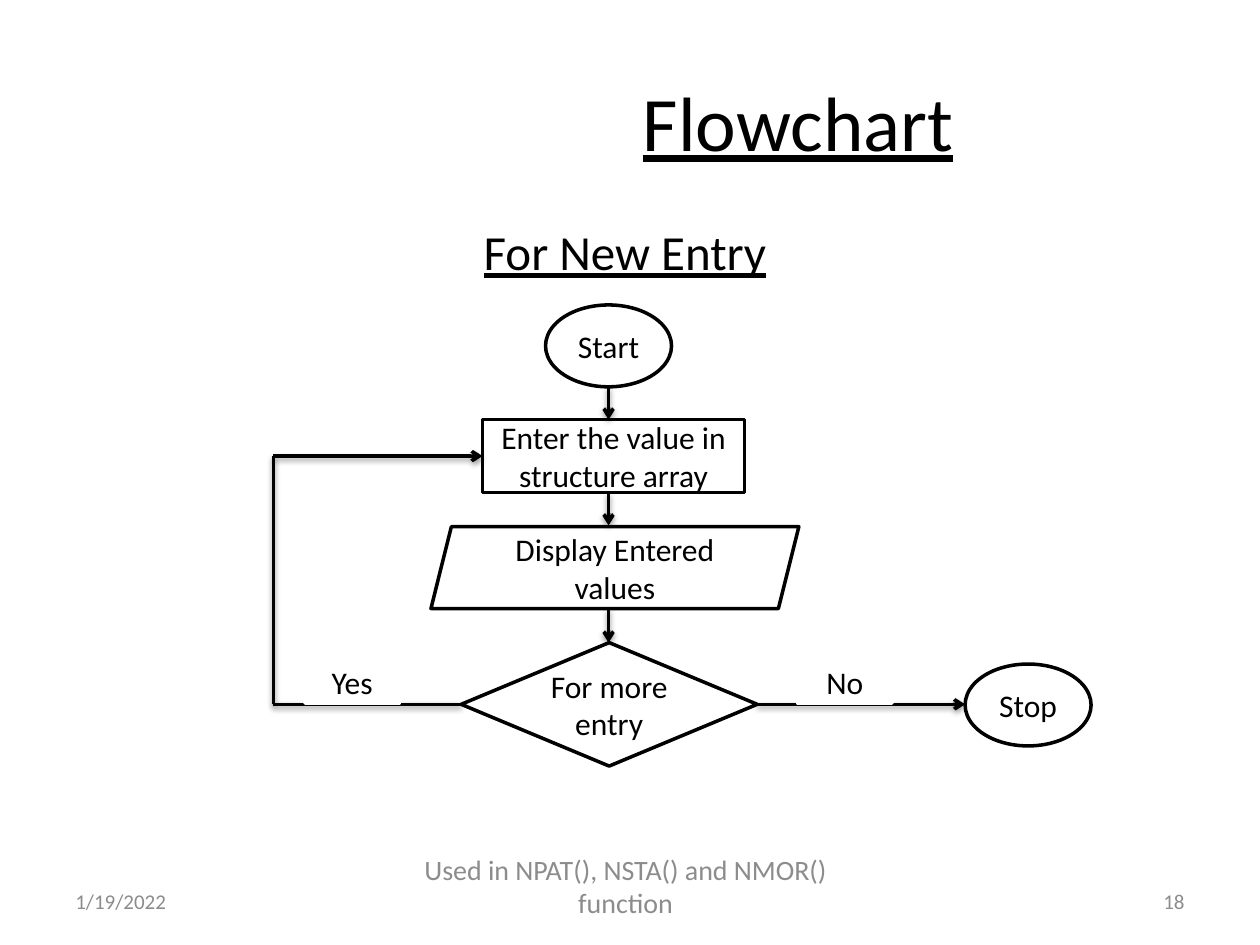
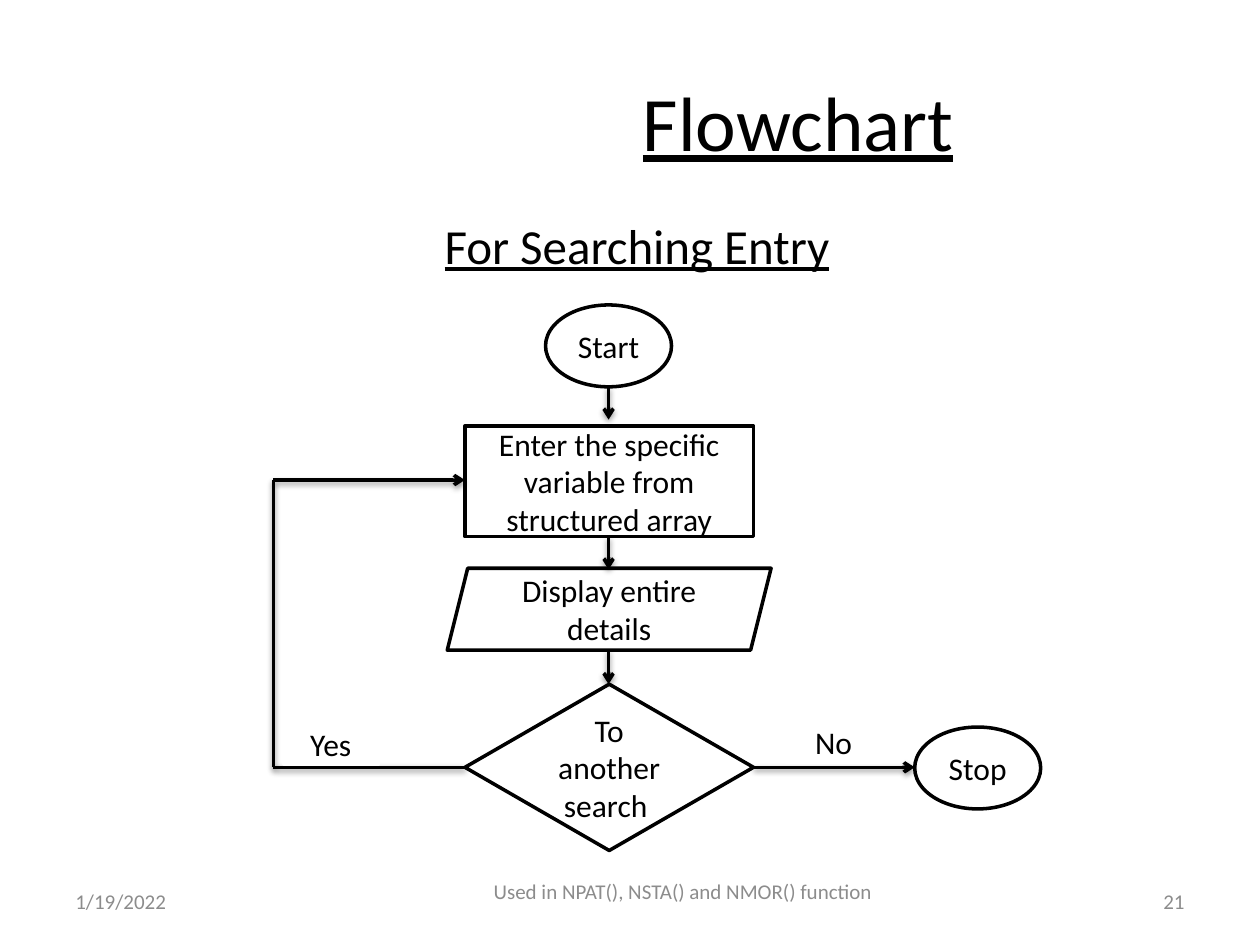
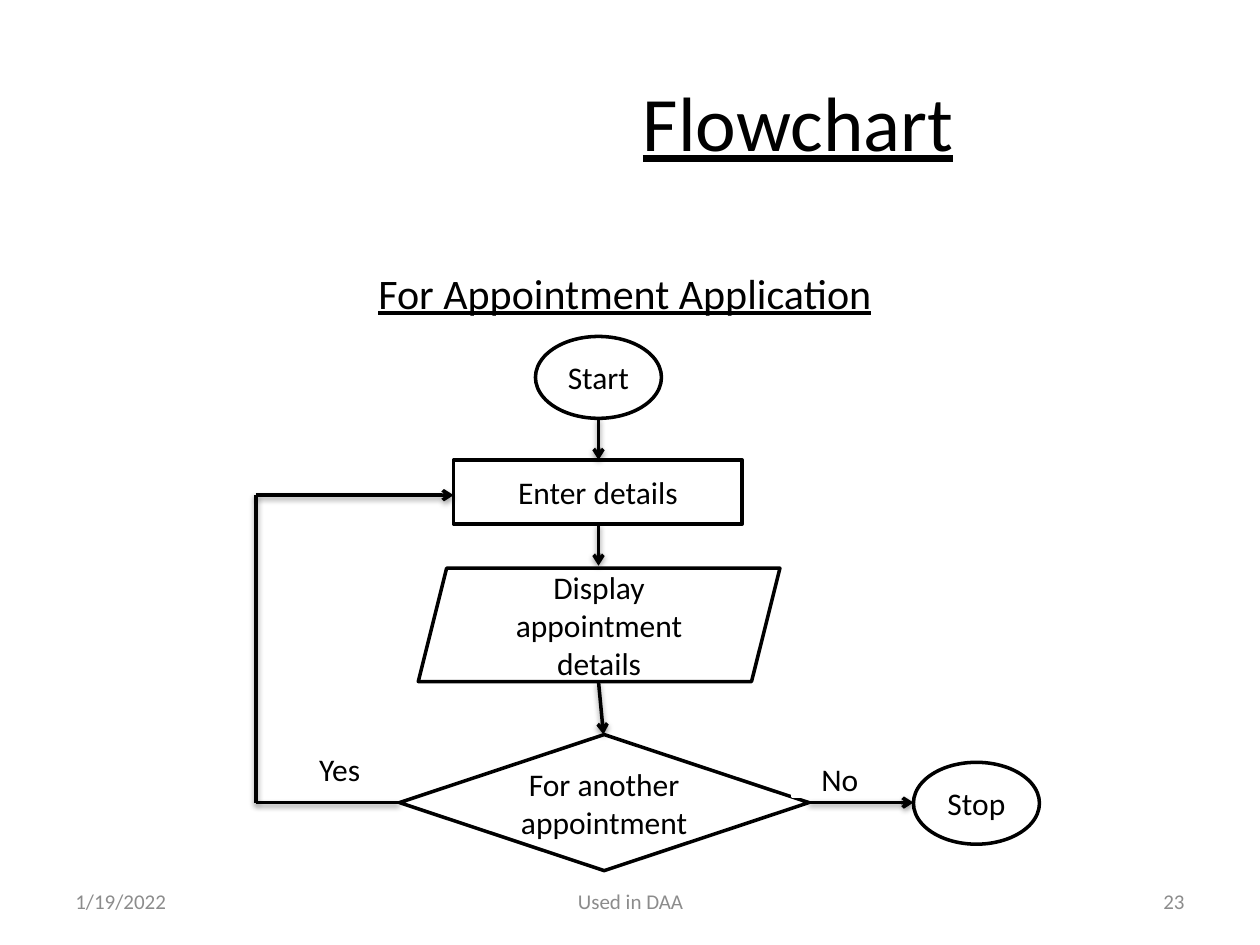
from dataclasses import dataclass

from lxml import etree
from pptx import Presentation
from pptx import util as u
from pptx.dml.color import RGBColor
from pptx.enum import shapes, text
from pptx.oxml import parse_xml
from pptx.oxml.ns import nsdecls, qn

PX = 9144  # 100 px to the inch
KIND = shapes.MSO_SHAPE
ALIGN = text.PP_ALIGN


@dataclass(frozen=True)
class Theme:
    face: str = "Calibri"
    ink: str = "000000"
    paper: str = "FFFFFF"
    mute: str = "8C8C8C"
    title: int = 44
    node: int = 18
    foot: int = 12
    line: int = 2


THEME = Theme()
OVAL = (100, 65)

SHADOW = (
    f'<a:effectLst {nsdecls("a")}><a:outerShdw blurRad="40000" dist="20000" '
    'dir="5400000" rotWithShape="0"><a:srgbClr val="000000">'
    '<a:alpha val="38000"/></a:srgbClr></a:outerShdw></a:effectLst>'
)


@dataclass
class Chart:
    """One flowchart; its parts are given relative to the box."""
    head: tuple      # text, size, box
    foot: tuple      # text, size, box
    page: str
    box: tuple
    axis: int        # middle of the column of steps
    drop: int        # length of the arrows between steps
    enter: int       # height at which the loop comes back
    steps: list      # text, box: enter, display, decide
    yes: tuple
    no: tuple


CHARTS = [
    Chart(
        head=("For New Entry", 28, (25, 174, 942, 50)),
        foot=("Used in NPAT(), NSTA() and NMOR() function", 16, (305, 683, 383, 40)),
        page="18", box=(217, 242, 649, 366), axis=266, drop=26, enter=120,
        steps=[("Enter the value in structure array", (166, 91, 208, 58)),
               ("Display Entered values", (125, 176, 292, 65)),
               ("For more entry", (149, 268, 235, 98))],
        yes=(25, 283, 75, 33), no=(416, 283, 75, 33)),
    Chart(
        head=("For Searching Entry", 28, (43, 169, 925, 50)),
        foot=("Used in NPAT(), NSTA() and NMOR() function", 12, (342, 690, 400, 35)),
        page="21", box=(217, 242, 609, 433), axis=266, drop=26, enter=139,
        steps=[("Enter the specific variable from structured array", (152, 96, 229, 88)),
               ("Display entire details", (138, 209, 257, 65)),
               ("To another search ", (152, 301, 229, 132))],
        yes=(8, 332, 75, 33), no=(407, 330, 75, 33)),
    Chart(
        head=("For Appointment Application", 24, (25, 207, 942, 50)),
        foot=("Used in DAA", 12, (342, 695, 317, 40)),
        page="23", box=(203, 267, 622, 424), axis=272, drop=33, enter=126,
        steps=[("Enter details", (157, 98, 229, 51)),
               ("Display appointment details", (129, 184, 287, 90)),
               ("For another appointment", (114, 316, 325, 108))],
        yes=(29, 327, 75, 33), no=(426, 338, 75, 27)),
]


def emu(box):
    return [n * PX for n in box]


def shift(box, by):
    return (by[0] + box[0], by[1] + box[1], *box[2:])


def write(frame, words, size, ink=THEME.ink, align=ALIGN.CENTER, under=False):
    """Fill a frame with one styled paragraph, centred in height."""
    look = {"word_wrap": True, "auto_size": text.MSO_AUTO_SIZE.NONE,
            "vertical_anchor": text.MSO_ANCHOR.MIDDLE}
    for key, val in look.items():
        setattr(frame, key, val)
    para = frame.paragraphs[0]
    para.text, para.alignment, para.space_before = words, align, u.Pt(0)
    font = para.runs[0].font
    for key, val in {"name": THEME.face, "size": u.Pt(size), "underline": under}.items():
        setattr(font, key, val)
    font.color.rgb = RGBColor.from_string(ink)


def place(holder, box):
    for key, val in zip(("left", "top", "width", "height"), emu(box)):
        setattr(holder, key, val)


def heads(slide, chart):
    """Set the title and the heading over the chart."""
    title, body = slide.shapes.title, slide.placeholders[1]
    place(title, (300, 33, 667, 125))
    write(title.text_frame, "Flowchart", THEME.title, under=True)
    words, size, box = chart.head
    place(body, box)
    props = body.text_frame.paragraphs[0]._p.get_or_add_pPr()
    props.set("marL", "0")
    props.set("indent", "0")
    etree.SubElement(props, qn("a:buNone"))
    write(body.text_frame, words, size, under=True)


def feet(slide, chart):
    """Set the date, the footer and the page number."""
    for words, size, box, align in (
        ("1/19/2022", THEME.foot, (50, 695, 233, 40), ALIGN.LEFT),
        (*chart.foot, ALIGN.CENTER),
        (chart.page, THEME.foot, (717, 695, 233, 40), ALIGN.RIGHT),
    ):
        note = slide.shapes.add_textbox(*emu(box))
        write(note.text_frame, words, size, THEME.mute, align)


def node(slide, kind, words, box, edge=THEME.ink):
    item = slide.shapes.add_shape(kind, *emu(box))
    item.shadow.inherit = False
    item.fill.solid()
    item.fill.fore_color.rgb = RGBColor.from_string(THEME.paper)
    item.line.color.rgb = RGBColor.from_string(edge)
    item.line.width = u.Pt(THEME.line)
    write(item.text_frame, words, THEME.node)


def link(slide, start, end, arrow=True):
    wire = slide.shapes.add_connector(shapes.MSO_CONNECTOR.STRAIGHT, *emu(start + end))
    wire.line.color.rgb = RGBColor.from_string(THEME.ink)
    wire.line.width = u.Pt(THEME.line)
    props = wire._element.spPr
    if arrow:
        etree.SubElement(props.find(qn("a:ln")), qn("a:tailEnd"), type="arrow")
    props.append(parse_xml(SHADOW))


def flow(slide, chart, box):
    """Draw the steps, the loop back and the way out inside the box."""
    ask = chart.steps[-1][1]
    mid, level = ask[0] + ask[2] // 2, ask[1] + ask[3] // 2
    first = (chart.axis - OVAL[0] // 2, 0, *OVAL)
    last = (box[2] - OVAL[0], level - OVAL[1] // 2, *OVAL)
    nodes = [(KIND.OVAL, "Start", first)]
    kinds = (KIND.RECTANGLE, KIND.PARALLELOGRAM, KIND.DIAMOND)
    nodes += [(kind, *step) for kind, step in zip(kinds, chart.steps)]
    nodes.append((KIND.OVAL, "Stop", last))
    for kind, words, part in nodes:
        node(slide, kind, words, shift(part, box))

    enter, show = (part for _, part in chart.steps[:2])
    wires = []
    for part in (first, enter):
        base = part[1] + part[3]
        wires.append(((chart.axis, base), (chart.axis, base + chart.drop), True))
    wires += [
        ((chart.axis, show[1] + show[3]), (mid, ask[1]), True),
        ((ask[0], level), (0, level), False),
        ((0, level), (0, chart.enter), False),
        ((0, chart.enter), (enter[0], chart.enter), True),
        ((ask[0] + ask[2], level), (last[0], level), True),
    ]
    for start, end, arrow in wires:
        link(slide, shift(start, box), shift(end, box), arrow)

    for words, part in (("Yes", chart.yes), ("No", chart.no)):
        node(slide, KIND.RECTANGLE, words, shift(part, box), THEME.paper)


def main():
    deck = Presentation()
    deck.slide_width, deck.slide_height = emu((1000, 750))
    for chart in CHARTS:
        slide = deck.slides.add_slide(deck.slide_layouts[1])
        heads(slide, chart)
        feet(slide, chart)
        flow(slide, chart, chart.box)
    deck.save("out.pptx")


if __name__ == "__main__":
    main()
